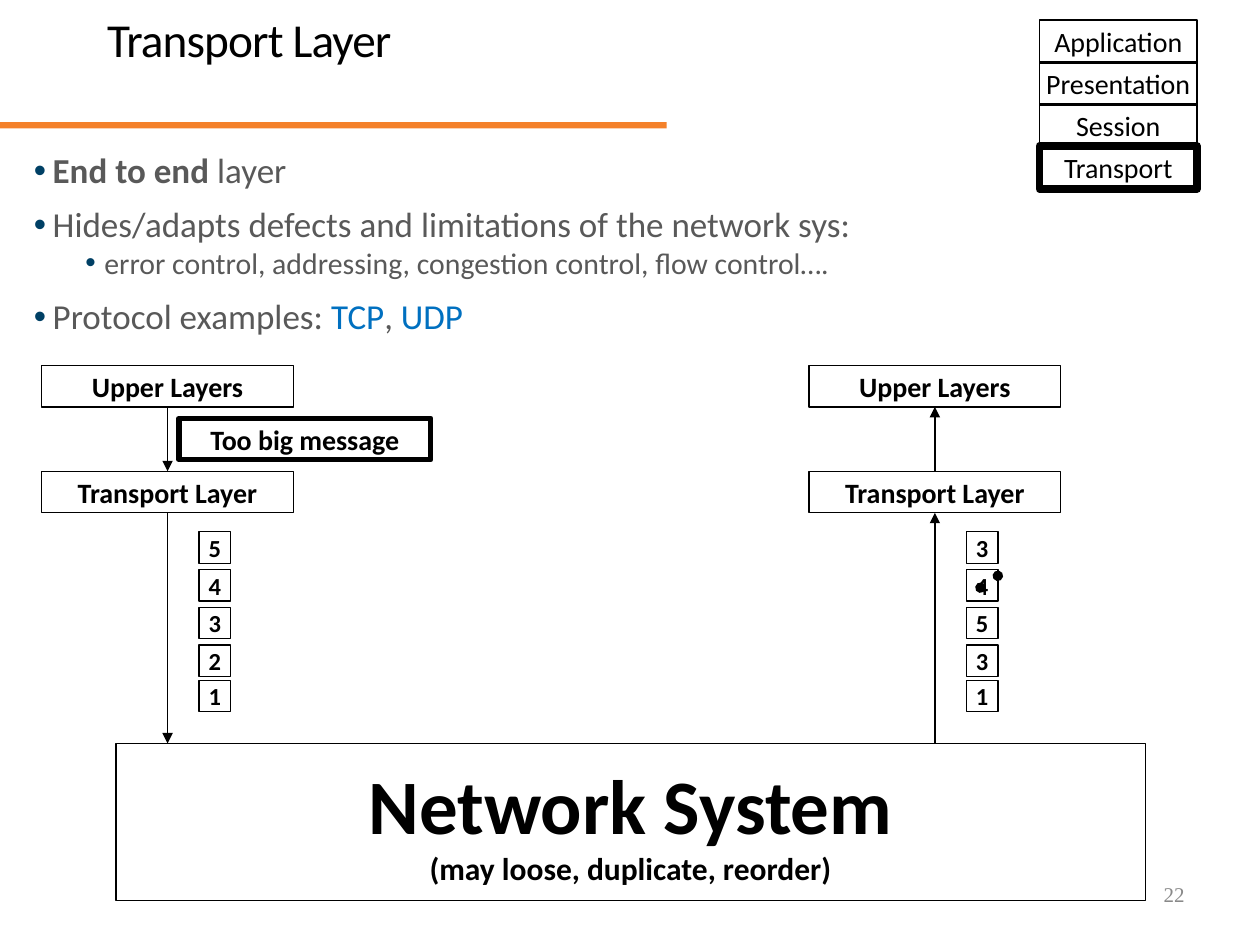
from lxml.etree import SubElement as Sub
from pptx import Presentation
from pptx.dml.color import RGBColor
from pptx.enum.dml import MSO_LINE as Dash
from pptx.enum.shapes import MSO_CONNECTOR as Link, MSO_SHAPE as Kind
from pptx.enum.text import MSO_ANCHOR as Anchor, MSO_AUTO_SIZE as Fit, PP_ALIGN as Align
from pptx.oxml.ns import qn
from pptx.util import Inches, Pt

BLACK = RGBColor(0x00, 0x00, 0x00)
ORANGE = RGBColor(0xF4, 0x81, 0x2A)
GRAY = RGBColor(0x59, 0x59, 0x59)
PALE = RGBColor(0x89, 0x89, 0x89)
BLUE = RGBColor(0x00, 0x70, 0xC0)


class Deck:
    """Holds the style and the current slide, and draws each kind of element."""

    font = "Calibri"
    thin = 0.75
    dot = "004065"

    def __init__(self):
        self.prs = Presentation()
        self.prs.slide_width, self.prs.slide_height = Inches(10), Inches(7.5)
        self.slide = self.prs.slides.add_slide(self.prs.slide_layouts[5])

    def run(self, para, text, size, color=BLACK, bold=False, font=None):
        run = para.add_run()
        run.text = text
        run.font.name = font or self.font
        run.font.size = Pt(size)
        run.font.bold = bold
        run.font.color.rgb = color
        return run

    def title(self, text, area):
        hold = self.slide.shapes.title
        hold.left, hold.top, hold.width, hold.height = map(Inches, area)
        frame = hold.text_frame
        frame.auto_size = Fit.NONE
        frame.vertical_anchor = Anchor.TOP
        para = frame.paragraphs[0]
        para.alignment = Align.LEFT
        para.line_spacing = 0.9
        run = self.run(para, text, 27)
        run.font._element.set("spc", "-50")

    def bar(self, area, color):
        bar = self.slide.shapes.add_shape(Kind.RECTANGLE, *map(Inches, area))
        bar.shadow.inherit = False
        bar.fill.solid()
        bar.fill.fore_color.rgb = color
        bar.line.fill.background()

    def frame(self, area):
        frame = self.slide.shapes.add_textbox(*map(Inches, area)).text_frame
        frame.word_wrap = True
        return frame

    def list(self, area, items):
        frame = self.frame(area)
        for i, (level, runs) in enumerate(items):
            para = frame.add_paragraph() if i else frame.paragraphs[0]
            para.level = level
            para.line_spacing = 0.9
            para.space_before = Pt(1.9 if level else 9)
            para.space_after = Pt(1.9 if level else 0)
            self.bullet(para, 0.56 if level else 0.15)
            for text, color, bold in runs:
                self.run(para, text, 17 if level else 20, color, bold)

    def bullet(self, para, left):
        props = para._p.get_or_add_pPr()
        props.set("marL", str(Inches(left)))
        props.set("indent", str(Inches(-0.15)))
        Sub(Sub(props, qn("a:buClr")), qn("a:srgbClr"), val=self.dot)
        Sub(props, qn("a:buFont"), typeface="Arial")
        Sub(props, qn("a:buChar"), char="•")

    def number(self, area, text):
        para = self.frame(area).paragraphs[0]
        para.alignment = Align.RIGHT
        self.run(para, text, 12, PALE, font="Times New Roman")

    def box(self, area, lines, bold=True, width=thin):
        box = self.slide.shapes.add_shape(Kind.RECTANGLE, *map(Inches, area))
        box.shadow.inherit = False
        box.fill.background()
        box.line.color.rgb = BLACK
        box.line.width = Pt(width)
        frame = box.text_frame
        frame.word_wrap = False
        frame.vertical_anchor = Anchor.MIDDLE
        for i, (text, size) in enumerate(lines):
            para = frame.add_paragraph() if i else frame.paragraphs[0]
            para.alignment = Align.CENTER
            self.run(para, text, size, BLACK, bold)
        return box

    def line(self, start, end, width=thin):
        line = self.slide.shapes.add_connector(Link.STRAIGHT, *map(Inches, start + end))
        line.line.color.rgb = BLACK
        line.line.width = Pt(width)
        Sub(line._element.spPr, qn("a:effectLst"))
        return line

    def arrow(self, start, end, tip):
        line = self.line(start, end)
        Sub(line._element.spPr.find(qn("a:ln")), qn("a:" + tip), type="triangle")
        return line

    def dots(self, start, end):
        line = self.line(start, end, 6)
        line.line.dash_style = Dash.ROUND_DOT
        line._element.spPr.find(qn("a:ln")).set("cap", "rnd")

    def stack(self, left, tip, digits):
        mid = left + 1
        upper = self.box((left, 2.9, 2, 0.33), [("Upper Layers", 16)])
        lower = self.box((left, 3.74, 2, 0.33), [("Transport Layer", 16)])
        link = self.arrow((mid, 3.23), (mid, 3.74), tip)
        link.begin_connect(upper, 2)
        link.end_connect(lower, 0)
        down = self.arrow((mid, 4.07), (mid, 5.9), tip)
        down.begin_connect(lower, 2)
        for top, digit in zip((4.22, 4.52, 4.82, 5.12, 5.4), digits):
            self.box((mid + 0.25, top, 0.25, 0.25), [(digit, 14)])


def main():
    deck = Deck()
    deck.bar((0, 0.97, 5.29, 0.05), ORANGE)
    deck.title("Transport Layer", (0.75, 0.08, 8.5, 1.25))
    deck.list((0.17, 1.17, 9.5, 1.25), [
        (0, [("End to end ", GRAY, True), ("layer", GRAY, False)]),
        (0, [("Hides/adapts defects and limitations of the network sys:", GRAY, False)]),
        (1, [("error control, addressing, congestion control, flow control….", GRAY, False)]),
        (0, [("Protocol examples: ", GRAY, False), ("TCP", BLUE, False),
             (", ", GRAY, False), ("UDP", BLUE, False)]),
    ])
    deck.number((7.17, 6.95, 2.33, 0.4), "22")
    deck.stack(0.33, "tailEnd", "54321")
    deck.stack(6.42, "headEnd", "34531")
    deck.dots((7.92, 4.57), (7.67, 4.74))
    deck.box((0.92, 5.9, 8.17, 1.25),
             [("Network System", 44), ("(may loose, duplicate, reorder)", 18)])
    deck.box((1.42, 3.32, 2, 0.33), [("Too big message", 16)], width=3)
    layers = [("Application", 1), ("Presentation", 0.75), ("Session", 0.75), ("Transport", 4.5)]
    for i, (name, width) in enumerate(layers):
        deck.box((8.25, 0.16 + i / 3, 1.25, 0.34), [(name, 16)], False, width)
    deck.prs.save("out.pptx")


if __name__ == "__main__":
    main()
